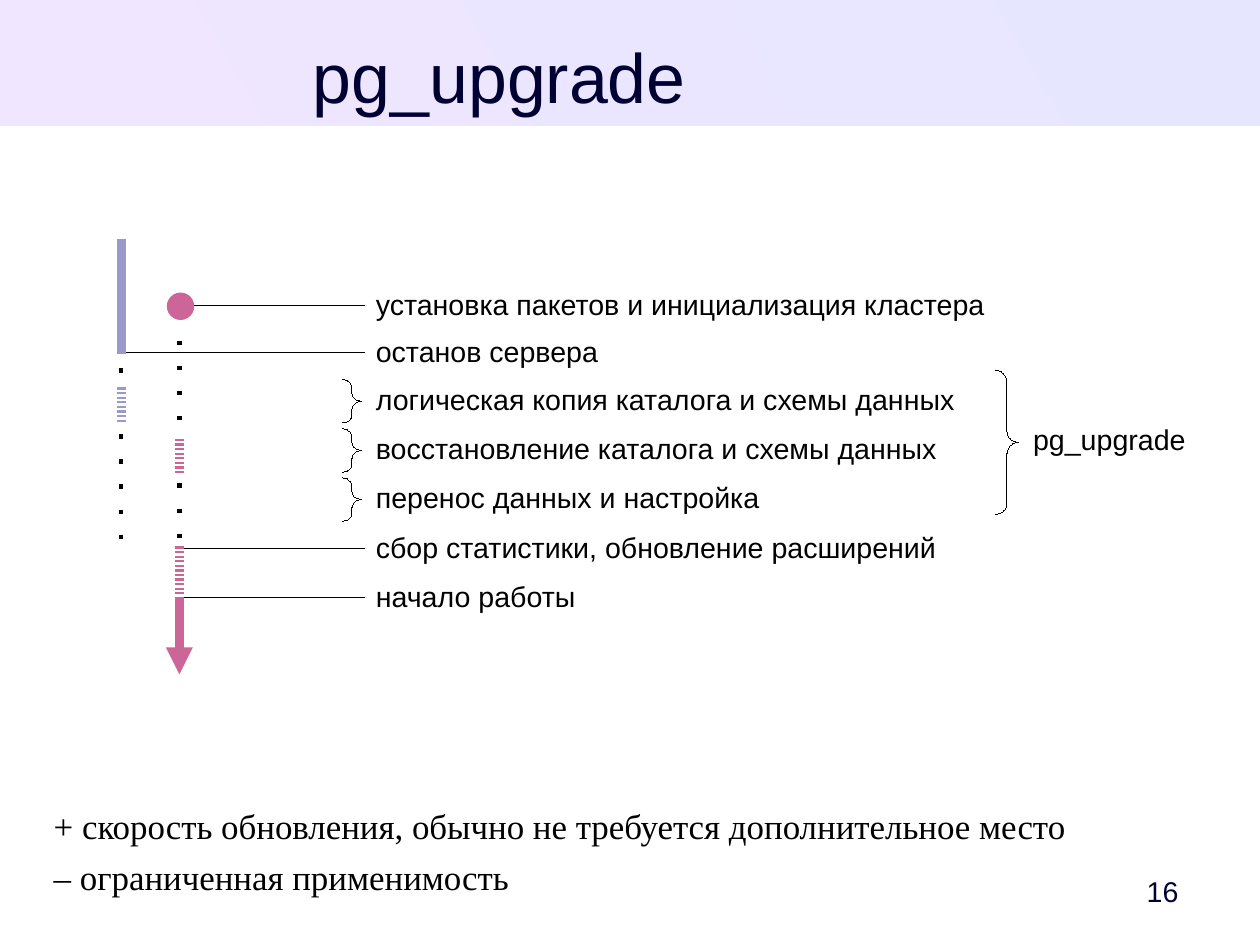
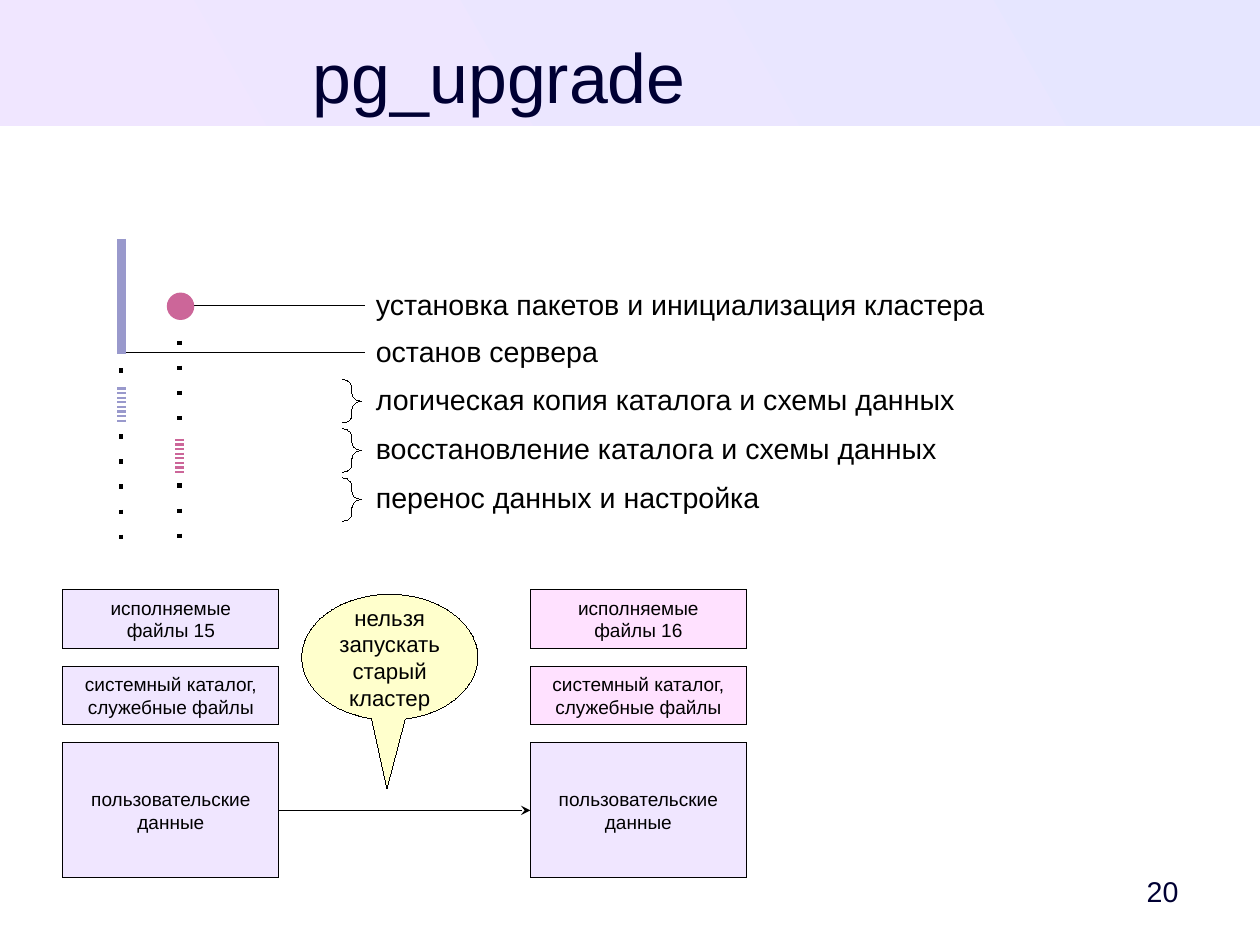
import pptx
import pptx.dml.color
import pptx.enum.dml
import pptx.enum.shapes
import pptx.enum.text
import pptx.oxml
import pptx.oxml.ns
import pptx.util

Inches = pptx.util.Inches
Pt = pptx.util.Pt
RGBColor = pptx.dml.color.RGBColor
SHAPE = pptx.enum.shapes.MSO_SHAPE
CONNECTOR = pptx.enum.shapes.MSO_CONNECTOR
ALIGN = pptx.enum.text.PP_ALIGN
ANCHOR = pptx.enum.text.MSO_ANCHOR
AUTO_SIZE = pptx.enum.text.MSO_AUTO_SIZE

BLACK = RGBColor(0x00, 0x00, 0x00)
NAVY = RGBColor(0x00, 0x00, 0x33)
BLUE = RGBColor(0x99, 0x99, 0xCC)
PINK = RGBColor(0xCC, 0x66, 0x99)
PALE_BLUE = RGBColor(0xE6, 0xE6, 0xFF)
PALE_VIOLET = RGBColor(0xF0, 0xE6, 0xFF)
PALE_PINK = RGBColor(0xFF, 0xE1, 0xFF)
PALE_YELLOW = RGBColor(0xFF, 0xFF, 0xCC)

SLIDE_WIDTH, SLIDE_HEIGHT = 280 / 25.4, 210 / 25.4  # 280 by 210 mm
HAIRLINE, DOT_WIDTH, BAR_WIDTH = 0, 2.83, 5.67
DOTS = (100, 457)  # dash and gap, percent of the line width
STRIPES = (25, 26)
OLD_X, NEW_X, LABEL_X = 1.06, 1.57, 3.19
INSETS = (0.1, 0.05, 0.1, 0.05)

TITLE_STYLE = {"name": "Arial", "size": Pt(44), "color": NAVY}
NUMBER_STYLE = {"name": "Arial", "size": Pt(18), "color": NAVY}
LABEL_STYLE = {"name": "Arial", "size": Pt(18), "color": BLACK}
CALLOUT_STYLE = {"name": "Arial", "size": Pt(14), "color": BLACK}
FILES_STYLE = {"name": "Arial", "size": Pt(12), "color": BLACK}
BODY_STYLE = {"name": "Times New Roman", "size": Pt(22), "color": BLACK}


def place(shape, left, top, width, height):
    for name, value in zip(("left", "top", "width", "height"), (left, top, width, height)):
        setattr(shape, name, Inches(value))


def add_xml(parent, tag, **values):
    child = pptx.oxml.parse_xml(f'<a:{tag} {pptx.oxml.ns.nsdecls("a")}/>')
    for name, value in values.items():
        child.set(name, str(value))
    parent.append(child)
    return child


def drop_theme_style(shape):
    """Remove the theme style, whose line width would replace a hairline."""
    style = shape._element.find(pptx.oxml.ns.qn("p:style"))
    shape._element.remove(style)


def write(shape, lines, style, align=ALIGN.LEFT, anchor=ANCHOR.TOP,
          insets=INSETS, wrap=False, space_after=0):
    frame = shape.text_frame
    left, top, right, bottom = map(Inches, insets)
    frame_format = {"auto_size": AUTO_SIZE.NONE, "word_wrap": wrap, "vertical_anchor": anchor,
                    "margin_left": left, "margin_top": top,
                    "margin_right": right, "margin_bottom": bottom}
    for name, value in frame_format.items():
        setattr(frame, name, value)
    frame.text = "\n".join(lines)
    for para in frame.paragraphs:
        para.alignment = align
        para.space_before = Pt(0)
        para.space_after = Pt(space_after)
        for span in para.runs:
            for name, value in style.items():
                if name == "color":
                    span.font.color.rgb = value
                else:
                    setattr(span.font, name, value)


def add_label(page, text, left, top, width):
    box = page.shapes.add_textbox(*map(Inches, (left, top, width, 0.38)))
    write(box, [text], LABEL_STYLE)


def add_figure(page, kind, at, fill=None, outlined=True):
    figure = page.shapes.add_shape(kind, *map(Inches, at))
    figure.shadow.inherit = False
    drop_theme_style(figure)
    if fill is None:
        figure.fill.background()
    else:
        figure.fill.solid()
        figure.fill.fore_color.rgb = fill
    if outlined:
        figure.line.color.rgb = BLACK
        figure.line.width = Pt(HAIRLINE)
    else:
        figure.line.fill.background()
    return figure


def add_line(page, start, end, color=BLACK, width=HAIRLINE, dash=None, head=None,
             kind=CONNECTOR.STRAIGHT):
    line = page.shapes.add_connector(kind, *map(Inches, start + end))
    drop_theme_style(line)
    line.line.color.rgb = color
    line.line.width = Pt(width)
    outline = line.line._get_or_add_ln()
    if dash:
        pattern = add_xml(outline, "custDash")
        add_xml(pattern, "ds", d=dash[0] * 1000, sp=dash[1] * 1000)
    if head:
        add_xml(outline, "tailEnd", type=head)
    add_xml(line._element.spPr, "effectLst")
    return line


def add_track(page, x, top, bottom, color=BLACK, dash=None, head=None):
    """Draw one vertical stretch of a server's timeline; black means stopped."""
    width = DOT_WIDTH if color == BLACK else BAR_WIDTH
    add_line(page, (x, top), (x, bottom), color, width, dash, head)


def add_leader(page, left, y):
    add_line(page, (left, y), (LABEL_X, y))


def add_brace(page, at, curve):
    brace = add_figure(page, SHAPE.RIGHT_BRACE, at)
    brace.adjustments[0] = curve


def add_band_to_master(deck, page):
    """Build the header band on a page, then move it behind the master's shapes."""
    band = add_figure(page, SHAPE.RECTANGLE, (0, 0, SLIDE_WIDTH, 1.1), outlined=False)
    band.fill.gradient()
    band.fill.gradient_angle = 210
    for stop, color in zip(band.fill.gradient_stops, (PALE_BLUE, PALE_VIOLET)):
        stop.color.rgb = color
    deck.slide_master.shapes._spTree.insert(2, band._element)


def add_page(deck, layout_index, number):
    page = deck.slides.add_slide(deck.slide_layouts[layout_index])
    title = page.shapes.title
    place(title, 0.47, 0.29, 7.8, 0.69)
    write(title, ["pg_upgrade"], TITLE_STYLE, ALIGN.CENTER, insets=(0, 0, 0, 0), wrap=True)
    box = page.shapes.add_textbox(*map(Inches, (9.44, 7.56, 0.87, 0.47)))
    write(box, [str(number)], NUMBER_STYLE, ALIGN.RIGHT, ANCHOR.MIDDLE,
          (0.1, 0.05, 0, 0.05), wrap=True)
    return page


def add_upgrade_timeline(page):
    add_leader(page, OLD_X, 3.08)
    add_leader(page, 1.7, 2.67)
    for x, top, bottom, color, dash in (
            (OLD_X, 2.09, 3.1, BLUE, None),
            (OLD_X, 3.22, 3.3, BLACK, DOTS),
            (OLD_X, 3.39, 3.7, BLUE, STRIPES),
            (OLD_X, 3.8, 4.8, BLACK, DOTS),
            (NEW_X, 2.98, 3.8, BLACK, DOTS),
            (NEW_X, 3.84, 4.15, PINK, STRIPES),
            (NEW_X, 4.23, 4.78, BLACK, DOTS)):
        add_track(page, x, top, bottom, color, dash)
    add_figure(page, SHAPE.OVAL, (1.46, 2.56, 0.24, 0.24), PINK, outlined=False)
    for text, top, width, braced in (
            ("установка пакетов и инициализация кластера", 2.46, 5.53, False),
            ("останов сервера", 2.87, 2.14, False),
            ("логическая копия каталога и схемы данных", 3.29, 5.26, True),
            ("восстановление каталога и схемы данных", 3.72, 5.11, True),
            ("перенос данных и настройка", 4.15, 3.55, True)):
        add_label(page, text, LABEL_X, top, width)
        if braced:
            add_brace(page, (3, top + 0.03, 0.16, 0.38), 0.43)


def add_restart(page):
    """Finish the new server's timeline and bracket the steps of the tool."""
    for text, top, width, y in (
            ("сбор статистики, обновление расширений", 4.59, 5.1, 4.8),
            ("начало работы", 5.02, 1.94, 5.23)):
        add_leader(page, NEW_X, y)
        add_label(page, text, LABEL_X, top, width)
    add_track(page, NEW_X, 5.23, 5.9, PINK, head="triangle")
    add_track(page, NEW_X, 4.78, 5.25, PINK, STRIPES)
    add_brace(page, (8.71, 3.24, 0.2, 1.26), 0.5)
    add_label(page, "pg_upgrade", 8.94, 3.64, 1.53)


def fill_body(page, lines):
    body = page.placeholders[1]
    place(body, 0.47, 7.04, 9.2, 0.85)
    write(body, lines, BODY_STYLE, insets=(0, 0, 0, 0), wrap=True, space_after=5.7)
    for para in body.text_frame.paragraphs:
        properties = para._p.get_or_add_pPr()
        properties.set("marL", "0")
        properties.set("indent", "0")
        add_xml(properties, "buNone")


def add_cluster(page, left, version, fill):
    """Stack the file boxes of one cluster and return the user data box."""
    for top, height, lines, color in (
            (5.16, 0.51, ("исполняемые", f"файлы {version}"), fill),
            (5.83, 0.51, ("системный каталог,", "служебные файлы"), fill),
            (6.5, 1.18, ("пользовательские", "данные"), PALE_VIOLET)):
        box = add_figure(page, SHAPE.RECTANGLE, (left, top, 1.89, height), color)
        write(box, lines, FILES_STYLE, ALIGN.CENTER, ANCHOR.MIDDLE)
    return box


def add_data_transfer(page):
    old_data = add_cluster(page, 0.55, 15, PALE_VIOLET)
    new_data = add_cluster(page, 4.64, 16, PALE_PINK)
    arrow = add_line(page, (2.44, 7.09), (4.64, 7.09), head="stealth", kind=CONNECTOR.CURVE)
    arrow.begin_connect(old_data, 3)
    arrow.end_connect(new_data, 1)
    callout = add_figure(page, SHAPE.OVAL_CALLOUT, (2.64, 5.2, 1.54, 1.1), PALE_YELLOW)
    callout.adjustments[0] = -0.016
    callout.adjustments[1] = 1.046
    write(callout, ("нельзя", "запускать", "старый", "кластер"),
          CALLOUT_STYLE, ALIGN.CENTER, ANCHOR.MIDDLE)


def set_slide_size(deck):
    deck.slide_width = Inches(SLIDE_WIDTH)
    deck.slide_height = Inches(SLIDE_HEIGHT)
    size = deck.element.find(pptx.oxml.ns.qn("p:sldSz"))
    size.attrib.pop("type", None)


def main():
    deck = pptx.Presentation()
    set_slide_size(deck)

    overview = add_page(deck, 1, 16)
    add_band_to_master(deck, overview)
    add_upgrade_timeline(overview)
    add_restart(overview)
    fill_body(overview, ("+ скорость обновления, обычно не требуется дополнительное место",
                         "– ограниченная применимость"))

    transfer = add_page(deck, 5, 20)
    add_upgrade_timeline(transfer)
    add_data_transfer(transfer)

    deck.save("out.pptx")


if __name__ == "__main__":
    main()
